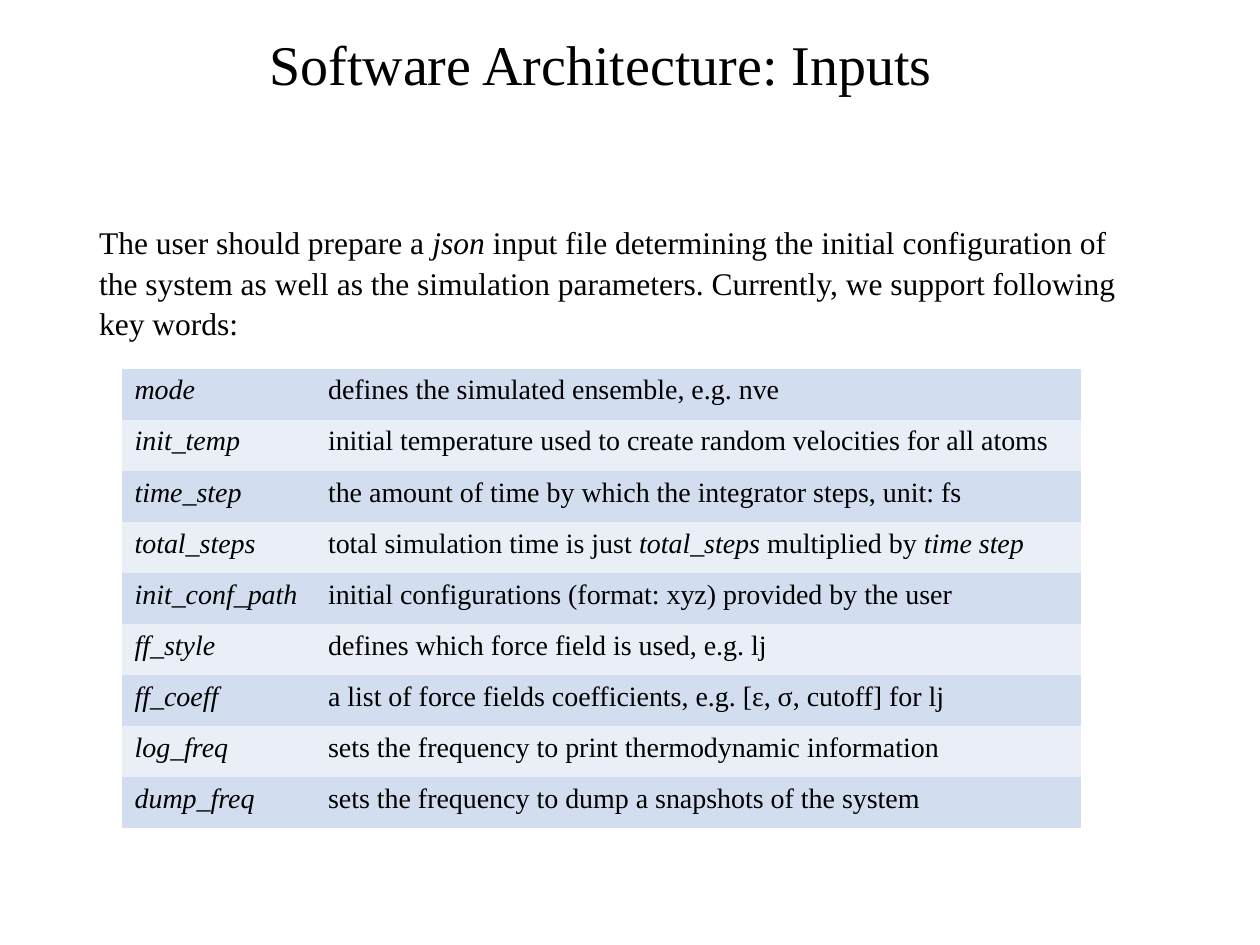
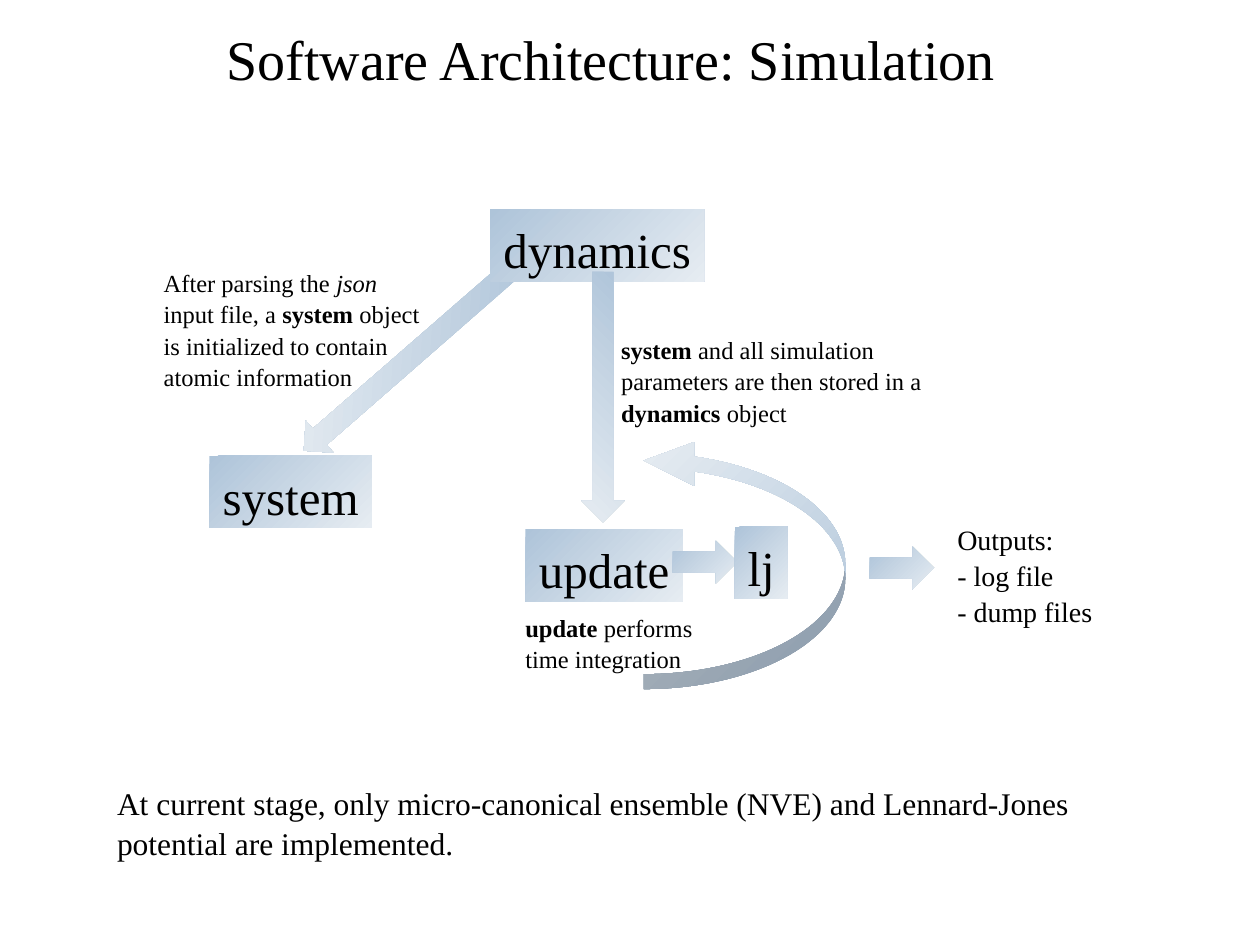
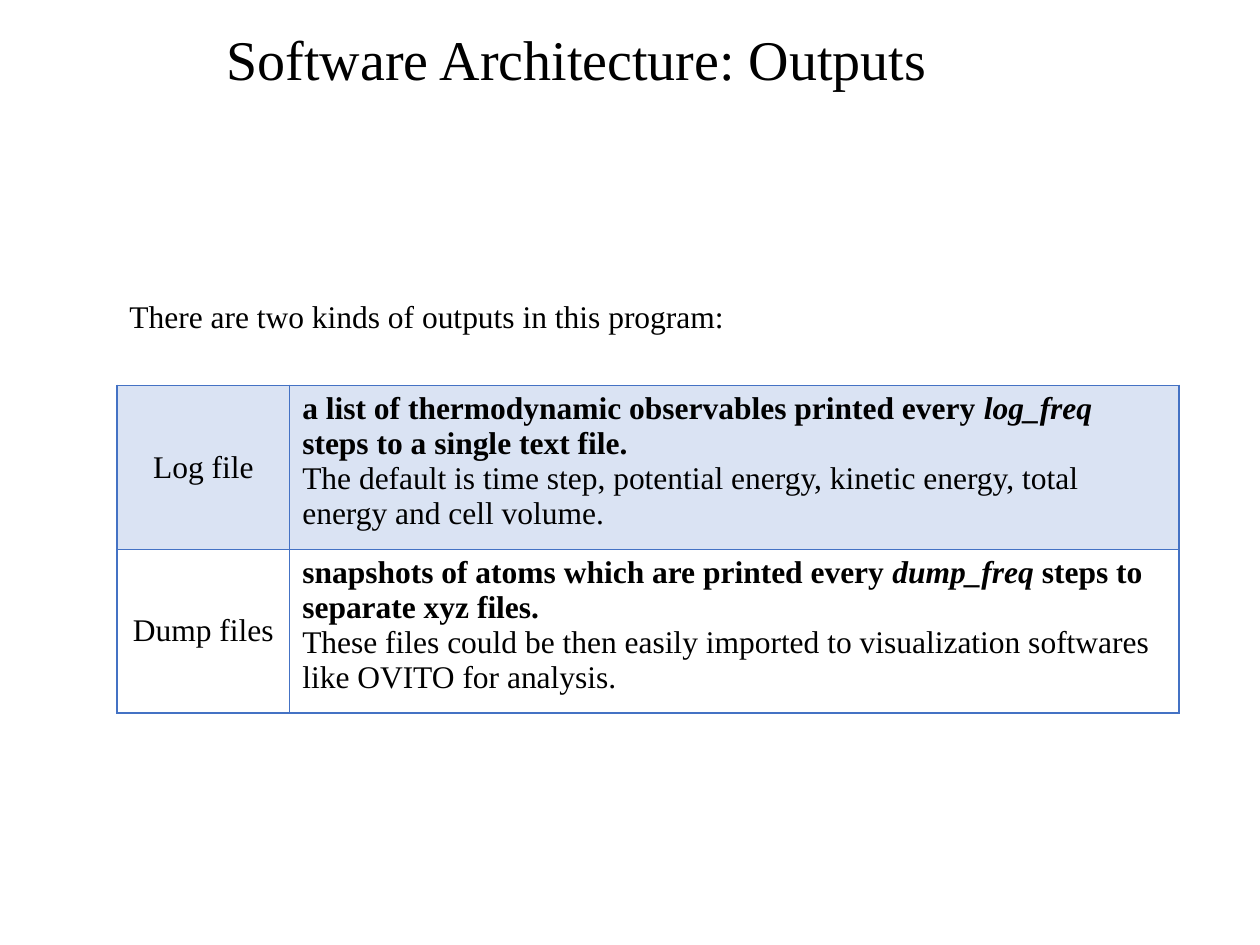
from dataclasses import dataclass

from lxml.etree import SubElement
from pptx import Presentation
from pptx.dml.color import RGBColor
from pptx.enum.shapes import MSO_SHAPE
from pptx.enum.text import MSO_ANCHOR, PP_ALIGN
from pptx.oxml.ns import qn
from pptx.util import Cm, Pt


@dataclass(frozen=True)
class Theme:
    font: str = "Times New Roman"
    ink: str = "000000"
    band_dark: str = "D2DEEF"
    band_light: str = "EAEFF7"
    highlight: str = "DAE3F3"
    border: str = "4472C4"
    gradient_start: str = "AEC4D9"
    gradient_end: str = "E6ECF2"
    title: int = 32
    node: int = 28
    body: int = 18
    detail: int = 16
    note: int = 14
    line_spacing: float = 1.07
    plain_table: str = "{2D5ABB26-0587-4C30-8999-92F81FD0307C}"


THEME = Theme()
NODE_HEIGHT = 1.45
ARROW_HEIGHT = 0.86

# A paragraph is a list of (text, style) runs; style holds "b" and/or "i".
KEYWORDS = [
    ("mode", [("defines the simulated ensemble, e.g. nve", "")]),
    ("init_temp", [("initial temperature used to create random velocities for all atoms", "")]),
    ("time_step", [("the amount of time by which the integrator steps, unit: fs", "")]),
    ("total_steps", [("total simulation time is just ", ""), ("total_steps ", "i"),
                     ("multiplied by ", ""), ("time step", "i")]),
    ("init_conf_path", [("initial configurations (format: xyz) provided by the user", "")]),
    ("ff_style", [("defines which force field is used, e.g. lj", "")]),
    ("ff_coeff", [("a list of force fields coefficients, e.g. [ε, σ, cutoff] for lj", "")]),
    ("log_freq", [("sets the frequency to print thermodynamic information", "")]),
    ("dump_freq", [("sets the frequency to dump a snapshots of the system", "")]),
]

OUTPUTS = [
    ("Log file",
     [("a list of thermodynamic observables printed every ", "b"), ("log_freq ", "bi"),
      ("steps to a single text file.", "b")],
     [("The default is time step, potential energy, kinetic energy, total energy "
       "and cell volume.", "")]),
    ("Dump files",
     [("snapshots of atoms which are printed every ", "b"), ("dump_freq ", "bi"),
      ("steps to separate xyz files.", "b")],
     [("These files could be then easily imported to visualization softwares "
       "like OVITO for analysis.", "")]),
]


def write(frame, paragraphs, size, align=PP_ALIGN.LEFT, spacing=None):
    """Fill a text frame with paragraphs of styled runs."""
    for index, runs in enumerate(paragraphs):
        paragraph = frame.paragraphs[0] if index == 0 else frame.add_paragraph()
        paragraph.alignment = align
        if spacing:
            paragraph.line_spacing = spacing
        paragraph.font.name = THEME.font
        paragraph.font.size = Pt(size)
        paragraph.font.color.rgb = RGBColor.from_string(THEME.ink)
        for text, style in runs:
            run = paragraph.add_run()
            run.text = text
            if "b" in style:
                run.font.bold = True
            if "i" in style:
                run.font.italic = True


def add_text(slide, left, top, width, height, size, *paragraphs):
    box = slide.shapes.add_textbox(Cm(left), Cm(top), Cm(width), Cm(height))
    box.text_frame.word_wrap = True
    write(box.text_frame, paragraphs, size, spacing=THEME.line_spacing)


def add_title(slide, text, left=4.32, top=0.28):
    add_text(slide, left, top, 16.05, 3, THEME.title, [(text, "")])


def fill_gradient(shape):
    shape.fill.gradient()
    shape.fill.gradient_angle = 315
    colors = (THEME.gradient_start, THEME.gradient_end)
    for stop, color in zip(shape.fill.gradient_stops, colors):
        stop.color.rgb = RGBColor.from_string(color)


def add_node(slide, name, left, top, width):
    node = slide.shapes.add_textbox(Cm(left), Cm(top), Cm(width), Cm(NODE_HEIGHT))
    fill_gradient(node)
    node.text_frame.word_wrap = False
    write(node.text_frame, [[(name, "")]], THEME.node, PP_ALIGN.CENTER, THEME.line_spacing)


def add_arrow(slide, left, top, width, height=ARROW_HEIGHT, rotation=0,
              kind=MSO_SHAPE.RIGHT_ARROW, adjustments=()):
    arrow = slide.shapes.add_shape(kind, Cm(left), Cm(top), Cm(width), Cm(height))
    arrow.rotation = rotation
    for index, value in enumerate(adjustments):
        arrow.adjustments[index] = value
    fill_gradient(arrow)
    arrow.line.fill.background()
    arrow.shadow.inherit = False


def add_plain_table(slide, left, top, column_widths, row_height, row_count):
    """Add a table without style banding or borders."""
    table = slide.shapes.add_table(
        row_count, len(column_widths), Cm(left), Cm(top),
        Cm(sum(column_widths)), Cm(row_height * row_count)).table
    table.first_row = table.horz_banding = False
    table._tbl.tblPr.find(qn("a:tableStyleId")).text = THEME.plain_table
    for column, width in zip(table.columns, column_widths):
        column.width = Cm(width)
    for row in table.rows:
        row.height = Cm(row_height)
    return table


def set_borders(cell):
    properties = cell._tc.get_or_add_tcPr()
    for side in ("a:lnL", "a:lnR", "a:lnT", "a:lnB"):
        line = SubElement(properties, qn(side), w=str(Pt(1)))
        fill = SubElement(line, qn("a:solidFill"))
        SubElement(fill, qn("a:srgbClr"), val=THEME.border)


def fill_cell(cell, color):
    cell.fill.solid()
    cell.fill.fore_color.rgb = RGBColor.from_string(color)


def build_inputs(slide):
    add_title(slide, "Software Architecture: Inputs", left=5.18, top=0.38)
    add_text(slide, 1.75, 4.32, 21.18, 3.33, THEME.body, [
        ("The user should prepare a ", ""), ("json", "i"),
        (" input file determining the initial configuration of the system as well as the "
         "simulation parameters. Currently, we support following key words:", "")])

    # Keyword table with alternating bands
    table = add_plain_table(slide, 2.46, 7.43, (3.9, 15.44), 1.03, len(KEYWORDS))
    for index, (keyword, meaning) in enumerate(KEYWORDS):
        band = THEME.band_light if index % 2 else THEME.band_dark
        for cell, runs in zip(table.rows[index].cells, ([(keyword, "i")], meaning)):
            write(cell.text_frame, [runs], THEME.detail)
            fill_cell(cell, band)


def build_simulation(slide):
    # Arrow to the system object, behind the dynamics node
    add_arrow(slide, 5.41, 6.76, 5.77, rotation=138.9)
    add_title(slide, "Software Architecture: Simulation")
    add_text(slide, 2.11, 15.62, 21.18, 1.8, THEME.body, [
        ("At current stage, only micro-canonical ensemble (NVE) and Lennard-Jones "
         "potential are implemented.", "")])

    # Set-up: dynamics and system
    add_node(slide, "dynamics", 9.88, 4.22, 4.32)
    add_node(slide, "system", 4.22, 9.19, 3.28)
    add_text(slide, 3.05, 5.23, 5.84, 2.64, THEME.note, [
        ("After parsing the ", ""), ("json", "i"), (" input file, a ", ""), ("system", "b"),
        (" object is initialized to contain atomic information", "")])
    add_arrow(slide, 9.63, 7.57, 5.05, rotation=90)
    add_text(slide, 12.27, 6.58, 6.99, 2.06, THEME.note, [
        ("system", "b"), (" and all simulation parameters are then stored in a ", ""),
        ("dynamics", "b"), (" object", "")])

    # Integration loop: update and force field
    add_node(slide, "update", 10.59, 10.67, 3.18)
    add_arrow(slide, 13.56, 10.9, 1.3)
    add_node(slide, "lj", 14.81, 10.62, 1.07)
    add_arrow(slide, 12.98, 8.84, 4.06, 5.05, 180,
              MSO_SHAPE.CURVED_RIGHT_ARROW, (0.074, 0.218, 0.25))
    add_text(slide, 10.34, 12.19, 4.06, 1.45, THEME.note,
             [("update", "b"), (" performs time integration", "")])

    # Results
    add_arrow(slide, 17.53, 11.02, 1.3)
    add_text(slide, 19.05, 10.36, 6.2, 2.31, THEME.detail,
             [("Outputs:", "")], [("- log file", "")], [("- dump files", "")])


def build_outputs(slide):
    add_title(slide, "Software Architecture: Outputs")
    add_text(slide, 2.36, 5.82, 20.17, 1.8, THEME.body,
             [("There are two kinds of outputs in this program:", "")])

    # Output table with the first row highlighted
    table = add_plain_table(slide, 2.36, 7.77, (3.48, 17.93), 3.3, len(OUTPUTS))
    for index, (output, summary, details) in enumerate(OUTPUTS):
        label, description = table.rows[index].cells
        write(label.text_frame, [[(output, "")]], THEME.body, PP_ALIGN.CENTER)
        label.vertical_anchor = MSO_ANCHOR.MIDDLE
        write(description.text_frame, [summary, details], THEME.body)
        for cell in (label, description):
            set_borders(cell)
            if index == 0:
                fill_cell(cell, THEME.highlight)


def main():
    deck = Presentation()
    deck.slide_width, deck.slide_height = Cm(25.4), Cm(19.05)
    blank = deck.slide_layouts[6]
    for build in (build_inputs, build_simulation, build_outputs):
        build(deck.slides.add_slide(blank))
    deck.save("out.pptx")


if __name__ == "__main__":
    main()
